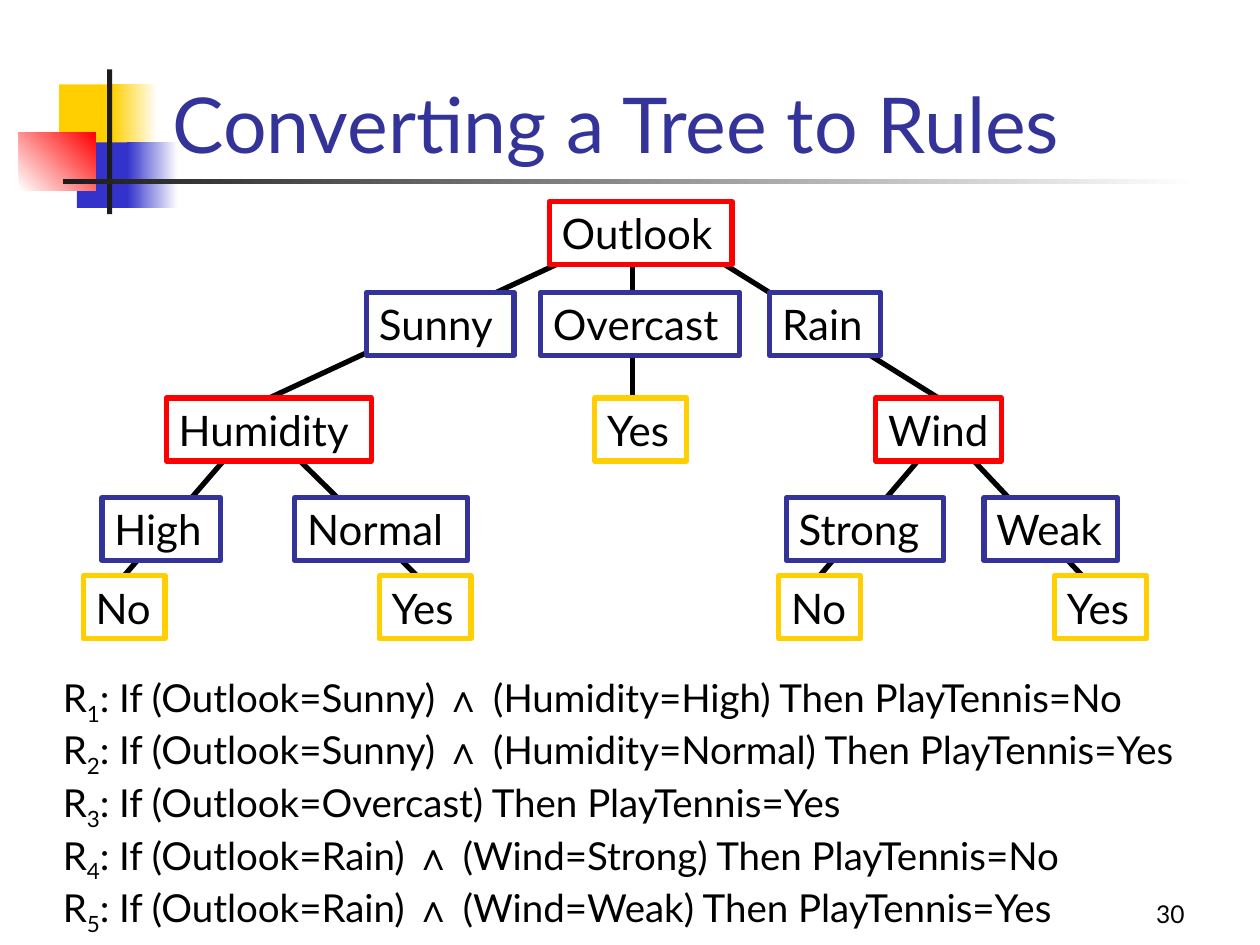
from dataclasses import dataclass

from lxml import etree
from pptx import Presentation
from pptx.dml.color import RGBColor
from pptx.enum.shapes import MSO_CONNECTOR, MSO_SHAPE
from pptx.enum.text import MSO_ANCHOR, PP_ALIGN
from pptx.oxml.ns import qn
from pptx.util import Inches, Pt

RECTANGLE = MSO_SHAPE.RECTANGLE
STRAIGHT = MSO_CONNECTOR.STRAIGHT
TOP, MIDDLE, BOTTOM = MSO_ANCHOR.TOP, MSO_ANCHOR.MIDDLE, MSO_ANCHOR.BOTTOM
LEFT, RIGHT = PP_ALIGN.LEFT, PP_ALIGN.RIGHT
TOP_SIDE = 0

FONT = "Lato"
SYMBOL_FONT = "Arial"
COLORS = {
    "white": "FFFFFF", "black": "000000", "dark": "1C1C1C",
    "yellow": "FFCF01", "blue": "3333CC", "navy": "333399", "red": "FF0000",
}
# Border colour by the role of a tree node
ROLE_COLORS = {"attribute": "red", "value": "navy", "answer": "yellow"}
ROW_TOPS = (1.6, 2.32, 3.16, 3.95, 4.57)
NODE_HEIGHT = 0.5


@dataclass
class Block:
    left: float
    top: float
    width: float
    height: float
    color: str
    fade_to: str = ""
    angle: float = 0


@dataclass
class Node:
    label: str
    role: str
    row: int
    left: float
    width: float


@dataclass
class Branch:
    start: tuple[float, float]
    end: tuple[float, float]
    child: str = ""  # node whose top middle the branch joins


BLOCKS = [
    Block(0.47, 0.67, 0.48, 0.52, "yellow"),
    Block(0.89, 0.67, 0.36, 0.52, "yellow", "white"),
    Block(0.61, 1.13, 0.46, 0.52, "blue"),
    Block(1.01, 1.13, 0.4, 0.52, "blue", "white"),
    Block(0.15, 1.05, 0.61, 0.46, "white", "red", 45),
    Block(0.85, 0.55, 0.04, 1.15, "dark"),
    Block(0.5, 1.42, 9, 0.04, "dark", "white"),
]

NODES = {
    "outlook": Node("Outlook", "attribute", 0, 4.36, 1.45),
    "sunny": Node("Sunny", "value", 1, 2.91, 1.17),
    "overcast": Node("Overcast", "value", 1, 4.29, 1.58),
    "rain": Node("Rain", "value", 1, 6.11, 0.88),
    "humidity": Node("Humidity", "attribute", 2, 1.32, 1.63),
    "high": Node("High", "value", 3, 0.81, 0.94),
    "normal": Node("Normal", "value", 3, 2.34, 1.37),
    "wind": Node("Wind", "attribute", 2, 6.95, 1),
    "strong": Node("Strong", "value", 3, 6.24, 1.25),
    "weak": Node("Weak", "value", 3, 7.81, 1.06),
    "high_no": Node("No", "answer", 4, 0.66, 0.65),
    "normal_yes": Node("Yes", "answer", 4, 3.01, 0.73),
    "overcast_yes": Node("Yes", "answer", 2, 4.72, 0.73),
    "weak_yes": Node("Yes", "answer", 4, 8.37, 0.73),
    "strong_no": Node("No", "answer", 4, 6.18, 0.65),
}

BRANCHES = [
    Branch((4.78, 1.93), (2.14, 3.16), "humidity"),
    Branch((5.48, 1.93), (7.45, 3.16), "wind"),
    Branch((1.91, 3.5), (0.98, 4.57), "high_no"),
    Branch((2.22, 3.5), (3.31, 4.57)),
    Branch((7.58, 3.5), (8.59, 4.57)),
    Branch((7.42, 3.5), (6.49, 4.57), "strong_no"),
    Branch((5.02, 1.99), (5.02, 3.17)),
]

# Conditions of each rule and its conclusion
RULES = [
    (("Outlook=Sunny", "Humidity=High"), "No"),
    (("Outlook=Sunny", "Humidity=Normal"), "Yes"),
    (("Outlook=Overcast",), "Yes"),
    (("Outlook=Rain", "Wind=Strong"), "No"),
    (("Outlook=Rain", "Wind=Weak"), "Yes"),
]


def rgb(name: str) -> RGBColor:
    return RGBColor.from_string(COLORS[name])


def add_span(para, text: str, size: float, color: str = "black", font: str = FONT):
    span = para.add_run()
    span.text = text
    span.font.size = Pt(size)
    span.font.name = font
    span.font.color.rgb = rgb(color)
    return span


def add_rectangle(page, left: float, top: float, width: float, height: float):
    box = page.shapes.add_shape(
        RECTANGLE, Inches(left), Inches(top), Inches(width), Inches(height))
    box.shadow.inherit = False
    return box


def add_block(page, block: Block) -> None:
    box = add_rectangle(page, block.left, block.top, block.width, block.height)
    box.line.fill.background()
    if block.fade_to:
        box.fill.gradient()
        box.fill.gradient_angle = block.angle
        for stop, name in zip(box.fill.gradient_stops, (block.color, block.fade_to)):
            stop.color.rgb = rgb(name)
    else:
        box.fill.solid()
        box.fill.fore_color.rgb = rgb(block.color)


def add_text_box(page, left: float, top: float, width: float, height: float, anchor):
    box = page.shapes.add_textbox(
        Inches(left), Inches(top), Inches(width), Inches(height))
    box.text_frame.word_wrap = True
    box.text_frame.vertical_anchor = anchor
    return box.text_frame


def add_branch(page, branch: Branch):
    line = page.shapes.add_connector(
        STRAIGHT, *(Inches(value) for value in branch.start + branch.end))
    line.line.color.rgb = rgb("black")
    line.line.width = Pt(3)
    etree.SubElement(line._element.spPr, qn("a:effectLst"))
    return line


def add_node(page, node: Node):
    box = add_rectangle(page, node.left, ROW_TOPS[node.row], node.width, NODE_HEIGHT)
    box.fill.solid()
    box.fill.fore_color.rgb = rgb("white")
    box.line.color.rgb = rgb(ROLE_COLORS[node.role])
    box.line.width = Pt(3)
    frame = box.text_frame
    frame.word_wrap = True
    frame.margin_right = Inches(0)
    frame.vertical_anchor = MIDDLE
    para = frame.paragraphs[0]
    para.alignment = LEFT
    add_span(para, node.label, 24)
    return box


def add_rule(para, number: int, conditions: tuple[str, ...], answer: str) -> None:
    size = 22
    add_span(para, "R", size)
    index = add_span(para, str(number), size)
    index.font._element.set("baseline", "-25000")
    add_span(para, f": If ({conditions[0]}) ", size)
    ending = f"Then PlayTennis={answer}"
    if len(conditions) > 1:
        add_span(para, "∧", size, font=SYMBOL_FONT)
        ending = f" ({conditions[1]}) {ending}"
    add_span(para, ending, size)


def main() -> None:
    deck = Presentation()
    deck.slide_width, deck.slide_height = Inches(10), Inches(7.5)
    page = deck.slides.add_slide(deck.slide_layouts[6])

    # Decoration beside the title
    for block in BLOCKS:
        add_block(page, block)

    # Page number and title
    para = add_text_box(page, 7.42, 6.92, 2.08, 0.5, BOTTOM).paragraphs[0]
    para.alignment = RIGHT
    add_span(para, "30", 14)
    title = add_text_box(page, 1.27, 0.14, 8.52, 1.25, BOTTOM)
    add_span(title.paragraphs[0], "Converting a Tree to Rules", 44, "navy")

    # Decision tree: branches lie behind the nodes
    lines = [add_branch(page, branch) for branch in BRANCHES]
    boxes = {name: add_node(page, node) for name, node in NODES.items()}
    for line, branch in zip(lines, BRANCHES):
        if branch.child:
            line.end_connect(boxes[branch.child], TOP_SIDE)

    # Rules read from the tree
    frame = add_text_box(page, 0.4, 5.3, 9.35, 2.2, TOP)
    for number, (conditions, answer) in enumerate(RULES, 1):
        para = frame.paragraphs[0] if number == 1 else frame.add_paragraph()
        add_rule(para, number, conditions, answer)

    deck.save("out.pptx")


if __name__ == "__main__":
    main()
